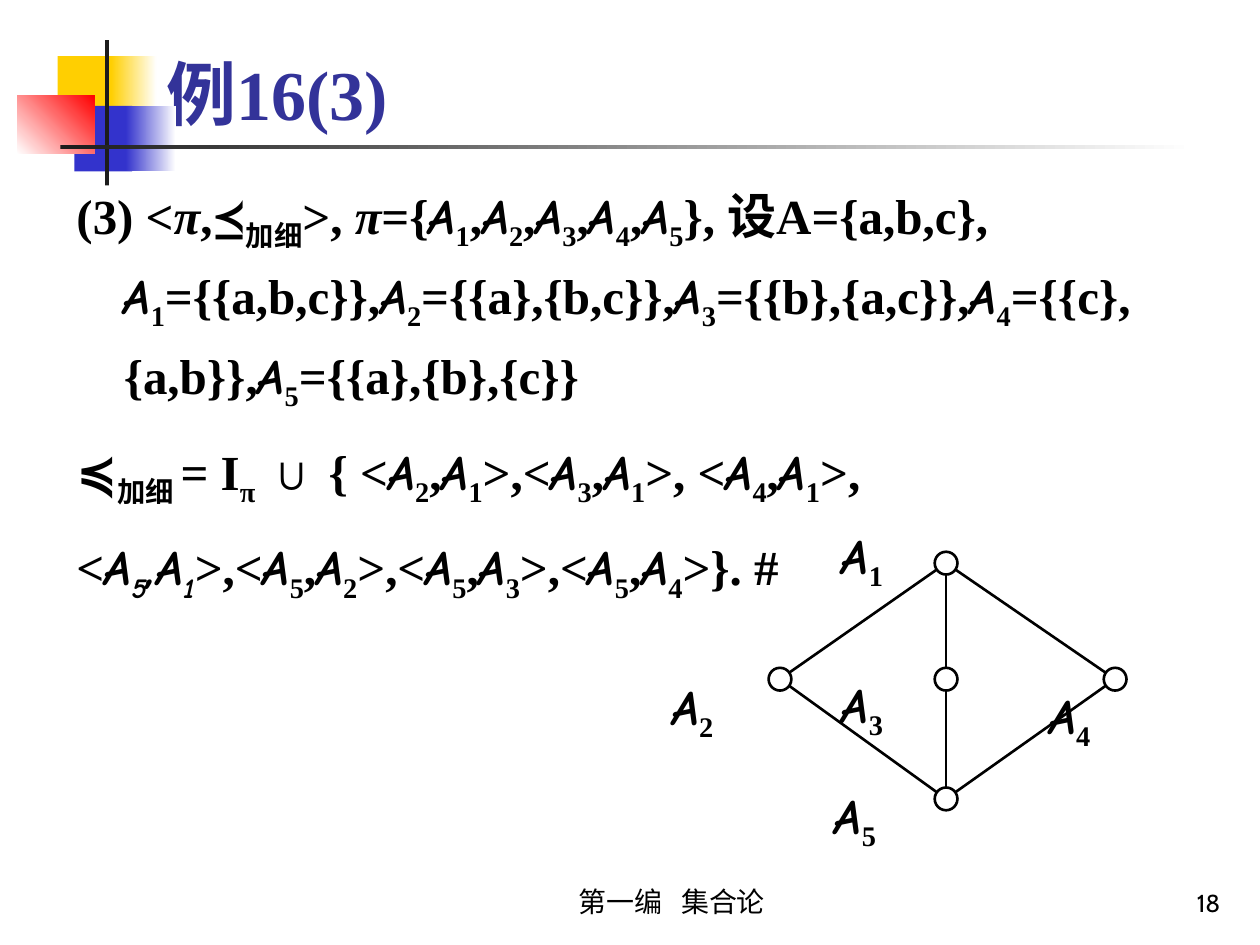
"""Build the slide for example 16(3): partitions ordered by refinement, with a Hasse diagram."""
from dataclasses import dataclass
from math import hypot

from lxml import etree
from pptx import Presentation
from pptx.dml.color import RGBColor
from pptx.enum.shapes import MSO_CONNECTOR, MSO_SHAPE
from pptx.enum.text import MSO_ANCHOR, MSO_AUTO_SIZE, PP_ALIGN
from pptx.oxml.ns import qn
from pptx.util import Pt

RECTANGLE, OVAL = MSO_SHAPE.RECTANGLE, MSO_SHAPE.OVAL
STRAIGHT = MSO_CONNECTOR.STRAIGHT
LEFT, CENTER, RIGHT = PP_ALIGN.LEFT, PP_ALIGN.CENTER, PP_ALIGN.RIGHT
TOP, BOTTOM = MSO_ANCHOR.TOP, MSO_ANCHOR.BOTTOM
NO_AUTOFIT = MSO_AUTO_SIZE.NONE

SERIF, SCRIPT, SANS = "Times New Roman", "Comic Neue", "Cabin"
BLACK, WHITE, DARK = "000000", "FFFFFF", "1C1C1C"
YELLOW, BLUE, RED, TITLE_BLUE = "FFCF01", "3333CC", "FF0000", "333399"
INDENT = 27
NODE_RADIUS = 6.5


@dataclass
class Box:
    """A rectangle in points."""
    left: float
    top: float
    width: float
    height: float

    def lengths(self):
        """Return the four lengths for python-pptx."""
        return Pt(self.left), Pt(self.top), Pt(self.width), Pt(self.height)


@dataclass
class Panel:
    """A decorative rectangle, fading when it has an end colour."""
    box: Box
    start: str
    end: str = ""
    angle: float = 0


@dataclass
class Node:
    """A Hasse diagram node: centre, label number and label corner."""
    x: float
    y: float
    label: str
    label_left: float
    label_top: float


PANELS = [
    Panel(Box(33, 32, 34.5, 37.5), YELLOW),
    Panel(Box(63.5, 32, 26, 37.5), YELLOW, WHITE),
    Panel(Box(42.5, 60.5, 33, 37.5), BLUE),
    Panel(Box(72, 60.5, 28.5, 37.5), BLUE, WHITE),
    Panel(Box(10, 54.5, 44, 33.5), WHITE, RED, 45),
    Panel(Box(60, 23, 2.25, 83), DARK),
    Panel(Box(34.5, 83, 648, 2.25), DARK, WHITE),
]
NODES = {
    "top": Node(540.6, 321.8, "1", 474, 293),
    "left": Node(445.7, 388.1, "2", 377, 379),
    "middle": Node(540.6, 388.1, "3", 474, 378),
    "right": Node(637.2, 388.1, "4", 592.5, 384.5),
    "bottom": Node(540.6, 456.5, "5", 470, 441.5),
}
BODY = [
    "(3) <|/π|,≼|_加细|>, |/π|={@1,@2,@3,@4,@5}, 设A={a,b,c}, "
    "@1={{a,b,c}},@2={{a},{b,c}},@3={{b},{a,c}},@4={{c},{a,b}},@5={{a},{b},{c}}",
    "≼|_加细 |= I|_π| ∪ { <@2,@1>,<@3,@1>, <@4,@1>,",
    "<|~A|^5|~,A|^1|>,<@5,@2>,<@5,@3>,<@5,@4>}. #",
]


def color(value: str) -> RGBColor:
    """Turn a hex string into a colour."""
    return RGBColor.from_string(value)


def draw_panel(slide, panel: Panel) -> None:
    """Draw one decorative rectangle."""
    shape = slide.shapes.add_shape(RECTANGLE, *panel.box.lengths())
    shape.shadow.inherit = False
    shape.line.fill.background()
    if panel.end:
        shape.fill.gradient()
        shape.fill.gradient_angle = panel.angle
        for stop, value in zip(shape.fill.gradient_stops, (panel.start, panel.end)):
            stop.color.rgb = color(value)
    else:
        shape.fill.solid()
        shape.fill.fore_color.rgb = color(panel.start)


def format_font(font, name: str, size: float, value: str, bold: bool) -> None:
    """Set the face, size, colour and weight of a font."""
    font.name, font.size, font.bold = name, Pt(size), bold
    font.color.rgb = color(value)


def write_math(paragraph, markup: str) -> None:
    """Write bar-separated pieces: / italic, ~ script, _ subscript, ^ script subscript, @n set n."""
    for digit in "12345":
        markup = markup.replace(f"@{digit}", f"|~A|_{digit}|")
    for piece in filter(None, markup.split("|")):
        style = piece[0] if piece[0] in "/~_^" else ""
        run = paragraph.add_run()
        run.text = piece[len(style):]
        face = SCRIPT if style in ("~", "^") else SERIF
        format_font(run.font, face, 28, BLACK, True)
        run.font.italic = style in ("/", "~", "^")
        if style in ("_", "^"):
            run._r.get_or_add_rPr().set("baseline", "-25000")


def place(shape, box: Box, anchor):
    """Move a text shape and return its prepared text frame."""
    shape.left, shape.top, shape.width, shape.height = box.lengths()
    frame = shape.text_frame
    frame.word_wrap, frame.auto_size, frame.vertical_anchor = True, NO_AUTOFIT, anchor
    return frame


def write_line(shape, box: Box, text: str, align, name: str, size: float,
               value: str = BLACK, bold: bool = False) -> None:
    """Write one bottom-anchored line of text into a shape."""
    frame = place(shape, box, BOTTOM)
    frame.text = text
    paragraph = frame.paragraphs[0]
    paragraph.alignment = align
    format_font(paragraph.runs[0].font, name, size, value, bold)


def fill_body(shape) -> None:
    """Write the worked example into the body placeholder."""
    frame = place(shape, Box(36.5, 94.5, 657.5, 391), TOP)
    for index, markup in enumerate(BODY):
        paragraph = frame.add_paragraph() if index else frame.paragraphs[0]
        properties = paragraph._p.get_or_add_pPr()
        properties.set("marL", str(Pt(INDENT)))
        properties.set("indent", str(-Pt(INDENT)))
        etree.SubElement(properties, qn("a:buNone"))
        paragraph.alignment, paragraph.line_spacing = LEFT, 1.2
        paragraph.space_before = Pt(8.8 if index else 0)
        write_math(paragraph, markup)


def draw_node(slide, node: Node) -> None:
    """Draw a node circle and its label."""
    box = Box(node.x - NODE_RADIUS, node.y - NODE_RADIUS, 2 * NODE_RADIUS, 2 * NODE_RADIUS)
    circle = slide.shapes.add_shape(OVAL, *box.lengths())
    circle.shadow.inherit = False
    circle.fill.background()
    circle.line.color.rgb, circle.line.width = color(BLACK), Pt(1.5)
    label_box = Box(node.label_left, node.label_top, 93.5, 49.5)
    frame = place(slide.shapes.add_textbox(*label_box.lengths()), label_box, TOP)
    frame.paragraphs[0].line_spacing = 1.1
    write_math(frame.paragraphs[0], f"@{node.label}")


def draw_edge(slide, start: Node, end: Node) -> None:
    """Join two nodes from rim to rim."""
    distance = hypot(end.x - start.x, end.y - start.y)
    dx = (end.x - start.x) / distance * NODE_RADIUS
    dy = (end.y - start.y) / distance * NODE_RADIUS
    edge = slide.shapes.add_connector(STRAIGHT, Pt(start.x + dx), Pt(start.y + dy),
                                      Pt(end.x - dx), Pt(end.y - dy))
    edge.line.color.rgb, edge.line.width = color(BLACK), Pt(1.5)
    etree.SubElement(edge._element.spPr, qn("a:effectLst"))


def main() -> None:
    """Build and save the presentation."""
    presentation = Presentation()
    presentation.slide_width, presentation.slide_height = Pt(720), Pt(540)
    slide = presentation.slides.add_slide(presentation.slide_layouts[1])
    for panel in PANELS:
        draw_panel(slide, panel)
    write_line(slide.shapes.title, Box(88, 20, 613.5, 60.5), "例16(3)", LEFT, SERIF, 40,
               TITLE_BLUE, True)
    fill_body(slide.placeholders[1])
    for box, text, align, name, size in (
        (Box(270, 492, 228, 36), "第一编   集合论", CENTER, SERIF, 16),
        (Box(554.5, 492, 150, 36), "18", RIGHT, SANS, 14),
    ):
        write_line(slide.shapes.add_textbox(*box.lengths()), box, text, align, name, size)
    for middle in ("left", "middle", "right"):
        for outer in ("top", "bottom"):
            draw_edge(slide, NODES[outer], NODES[middle])
    for node in NODES.values():
        draw_node(slide, node)
    presentation.save("out.pptx")


if __name__ == "__main__":
    main()
